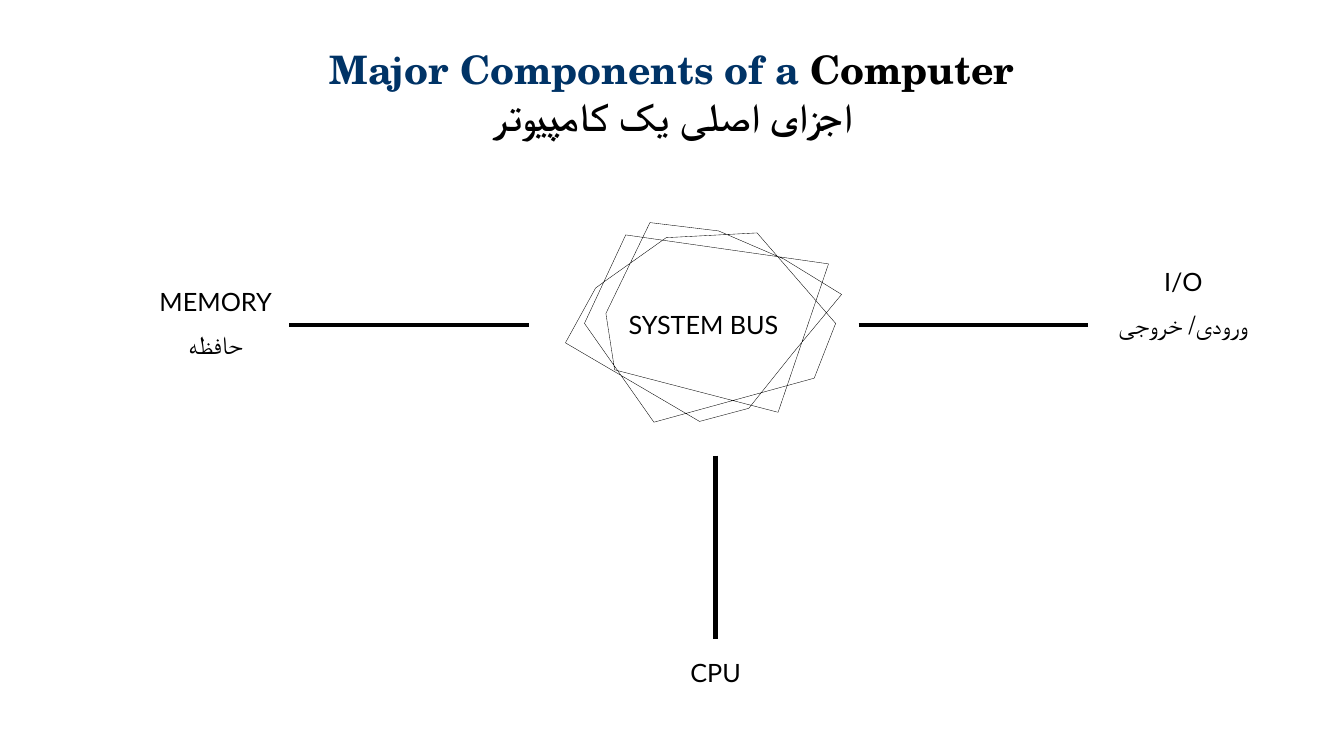
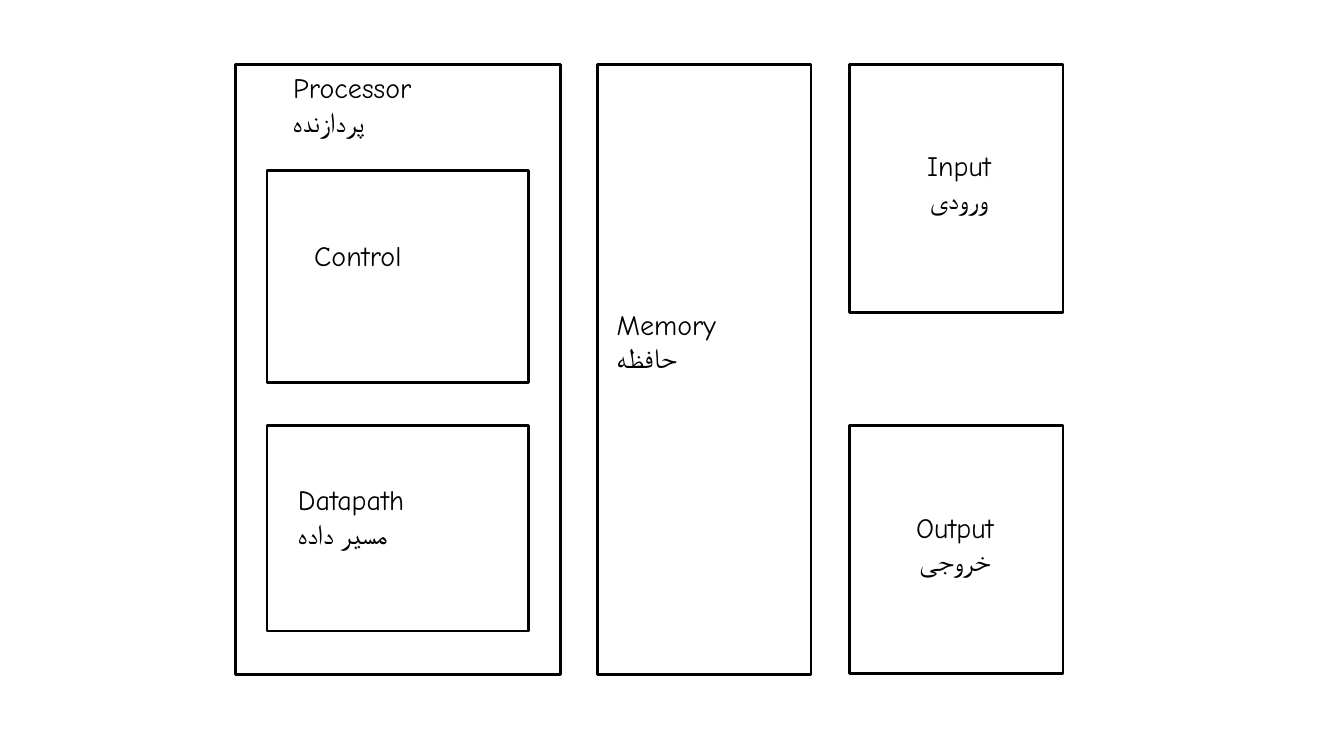
from copy import deepcopy
from dataclasses import dataclass

from pptx import Presentation
from pptx.dml.color import RGBColor
from pptx.enum.shapes import MSO_CONNECTOR, MSO_SHAPE
from pptx.enum.text import MSO_ANCHOR, MSO_AUTO_SIZE, PP_ALIGN
from pptx.oxml.ns import qn
from pptx.oxml.xmlchemy import OxmlElement
from pptx.shapes.autoshape import Shape
from pptx.shapes.connector import Connector
from pptx.slide import Slide
from pptx.text.text import TextFrame
from pptx.util import Cm, Pt

COLORS = {"ink": "000000", "navy": "003366"}
TITLE_FONT = "TeX Gyre Schola"
SLIDE_WIDTH, SLIDE_HEIGHT = 33.87, 19.05
TITLE_ONLY, BLANK = 5, 6


@dataclass(frozen=True)
class LabelStyle:
    font: str
    size: float
    space_before: float = 0


@dataclass(frozen=True)
class Label:
    """Stacked lines of text; lengths in centimetres."""
    lines: tuple[str, ...]
    left: float
    top: float
    width: float
    height: float = 1.96
    align: PP_ALIGN = PP_ALIGN.LEFT


@dataclass(frozen=True)
class Block:
    left: float
    top: float
    width: float
    height: float


BUS_STYLE = LabelStyle("Lato", 18, 9)
BLOCK_STYLE = LabelStyle("Comic Neue", 20)

CENTER = PP_ALIGN.CENTER
BUS_MIDDLE = 8.19
BUS_LABEL = Label(("SYSTEM BUS",), 13.82, 7.68, 7.82, 1.02, CENTER)
DEVICE_LABELS = (
    Label(("I/O", "ورودی/ خروجی"), 24.87, 6.58, 9.9, 2.18, CENTER),
    Label(("CPU",), 9.35, 16.43, 17.37, 1.02, CENTER),
    Label(("MEMORY", "حافظه"), -3.25, 7.09, 17.37, 2.18, CENTER),
)
# Hundredths of a centimetre
BUS_OUTLINE = (
    (1679, 599), (1524, 709), (1501, 726), (1425, 864), (1763, 1062),
    (1887, 1029), (1999, 889), (2121, 742), (1976, 653), (1811, 582),
    (1638, 561), (1527, 790), (1549, 932), (1961, 1039), (2088, 665),
    (1577, 592), (1473, 815), (1648, 1064), (2052, 953), (2106, 815),
    (1908, 587),
)

TOP, LOWER_TOP = 1.63, 10.72
FULL_HEIGHT, PORT_HEIGHT = 15.37, 6.25
INNER_LEFT, INNER_WIDTH = 6.73, 6.6
PORT_LEFT, COLUMN_WIDTH = 21.41, 5.38
BLOCKS = (
    Block(5.94, TOP, 8.18, FULL_HEIGHT),
    Block(INNER_LEFT, 4.29, INNER_WIDTH, 5.36),
    Block(INNER_LEFT, LOWER_TOP, INNER_WIDTH, 5.18),
    Block(15.06, TOP, COLUMN_WIDTH, FULL_HEIGHT),
    Block(PORT_LEFT, TOP, COLUMN_WIDTH, PORT_HEIGHT),
    Block(PORT_LEFT, LOWER_TOP, COLUMN_WIDTH, PORT_HEIGHT),
)
BLOCK_LABELS = (
    Label(("Processor", "پردازنده"), 7.14, 1.65, 3.76),
    Label(("Control",), 7.67, 5.89, 5.05),
    Label(("Datapath", "مسیر داده"), 7.26, 12.04, 5.05),
    Label(("Memory", "حافظه"), 15.29, 7.62, 4.27),
    Label(("Input", "ورودی"), 22.38, 3.61, 3.58, align=CENTER),
    Label(("Output", "خروجی"), 22.63, 12.73, 2.87, align=CENTER),
)


def color(name: str) -> RGBColor:
    return RGBColor.from_string(COLORS[name])


def set_frame(frame: TextFrame) -> None:
    frame.word_wrap = True
    frame.auto_size = MSO_AUTO_SIZE.NONE
    frame.vertical_anchor = MSO_ANCHOR.TOP


def add_label(page: Slide, label: Label, style: LabelStyle) -> Shape:
    box = page.shapes.add_textbox(
        Cm(label.left), Cm(label.top), Cm(label.width), Cm(label.height))
    frame = box.text_frame
    set_frame(frame)
    frame.text = "\n".join(label.lines)
    for index, para in enumerate(frame.paragraphs):
        para.alignment = label.align
        if index and style.space_before:
            para.space_before = Pt(style.space_before)
        for span in para.runs:
            span.font.name = style.font
            span.font.size = Pt(style.size)
            span.font.color.rgb = color("ink")
    return box


def outline(shape: Shape, width: float) -> None:
    """Leave only a plain black contour."""
    shape.shadow.inherit = False
    shape.fill.background()
    shape.line.color.rgb = color("ink")
    shape.line.width = Pt(width)


def add_wire(page: Slide, x1: float, y1: float, x2: float, y2: float) -> Connector:
    wire = page.shapes.add_connector(
        MSO_CONNECTOR.STRAIGHT, Cm(x1), Cm(y1), Cm(x2), Cm(y2))
    wire.line.color.rgb = color("ink")
    wire.line.width = Pt(3)
    wire._element.spPr.append(OxmlElement("a:effectLst"))
    return wire


def set_title(page: Slide) -> None:
    title = page.shapes.title
    title.left, title.top = Cm(0), Cm(1.02)
    title.width, title.height = Cm(SLIDE_WIDTH), Cm(2.64)
    set_frame(title.text_frame)
    para = title.text_frame.paragraphs[0]
    para.alignment = CENTER
    para.text = "Major Components of a "
    para.add_run().text = "Computer"
    para.add_line_break()
    para.add_run().text = "اجزای اصلی یک کامپیوتر"
    for span, name in zip(para.runs, ("navy", "ink", "ink")):
        span.font.name = TITLE_FONT
        span.font.size = Pt(28)
        span.font.bold = True
        span.font.color.rgb = color(name)
    # The line break needs the size of the text around it
    line_break = para._p.find(qn("a:br"))
    line_break.insert(0, deepcopy(para.runs[-1]._r.rPr))


def build_bus_slide(deck: Presentation) -> None:
    page = deck.slides.add_slide(deck.slide_layouts[TITLE_ONLY])
    set_title(page)
    add_wire(page, 7.29, BUS_MIDDLE, 13.34, BUS_MIDDLE)
    add_wire(page, 18.03, 11.48, 18.03, 16.1)
    io_wire = add_wire(page, 21.64, BUS_MIDDLE, 27.41, BUS_MIDDLE)
    bus = add_label(page, BUS_LABEL, BUS_STYLE)
    io_wire.begin_connect(bus, 3)
    for label in DEVICE_LABELS:
        add_label(page, label, BUS_STYLE)
    start, *corners = BUS_OUTLINE
    builder = page.shapes.build_freeform(*start, scale=Cm(0.01))
    builder.add_line_segments(corners, close=True)
    outline(builder.convert_to_shape(), 0.25)


def build_block_slide(deck: Presentation) -> None:
    page = deck.slides.add_slide(deck.slide_layouts[BLANK])
    for block in BLOCKS:
        outline(page.shapes.add_shape(
            MSO_SHAPE.RECTANGLE, Cm(block.left), Cm(block.top),
            Cm(block.width), Cm(block.height)), 2)
    for label in BLOCK_LABELS:
        add_label(page, label, BLOCK_STYLE)


def main() -> None:
    deck = Presentation()
    deck.slide_width, deck.slide_height = Cm(SLIDE_WIDTH), Cm(SLIDE_HEIGHT)
    build_bus_slide(deck)
    build_block_slide(deck)
    deck.save("out.pptx")


if __name__ == "__main__":
    main()
